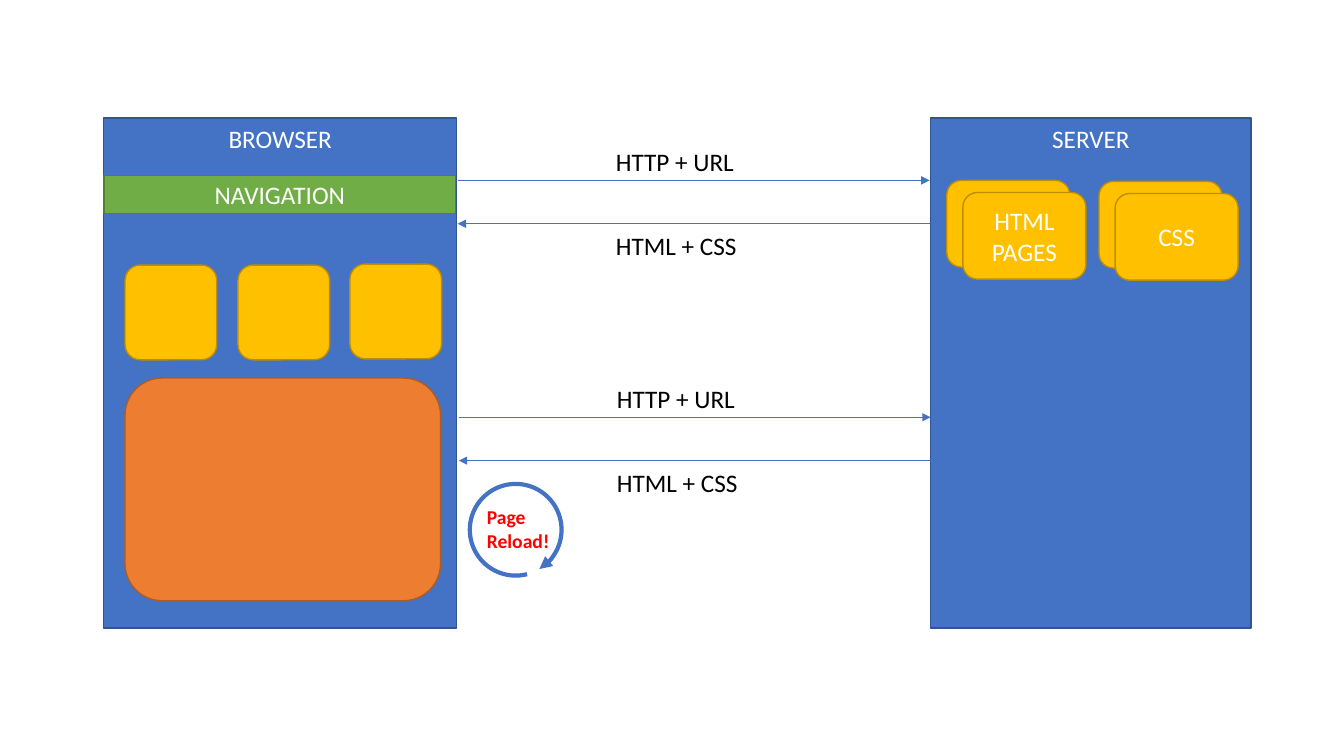
from lxml import etree
from pptx import Presentation, util as u
from pptx.dml.color import RGBColor
from pptx.enum import shapes as kinds, text as t
from pptx.oxml.ns import qn

BLUE, GOLD = ("4472C4", "325491"), ("FFC000", "BD8E00")
GREEN, ORANGE = ("70AD47", "538035"), ("ED7D31", "AF5C24")
RECT, ROUND = kinds.MSO_SHAPE.RECTANGLE, kinds.MSO_SHAPE.ROUNDED_RECTANGLE
PANELS = [("SERVER", 9.23, 3.18), ("BROWSER", 1.03, 3.5)]
NAVIGATION = ("NAVIGATION", 1.03, 1.74, 3.49, 0.38)
FILES = [("HTML PAGES", 9.39, 1.79), ("CSS", 10.9, 1.8)]
WIDGETS = [(1.24, 2.63), (2.36, 2.63), (3.47, 2.62)]
CONTENT = (1.24, 3.75, 3.13, 2.21)
EXCHANGES = [(4.54, 1.79), (4.55, 4.14)]
REQUEST, RESPONSE = "HTTP + URL", "HTML + CSS"
RELOAD = ["Page", "Reload!"]

prs = Presentation()
prs.slide_width, prs.slide_height = u.Inches(13.33), u.Inches(7.5)
slide = prs.slides.add_slide(prs.slide_layouts[6])


def color(value):
    return RGBColor.from_string(value)


def inches(*lengths):
    return [u.Inches(length) for length in lengths]


def write(holder, lines, size=18, ink="FFFFFF", bold=False,
          align=t.PP_ALIGN.CENTER, anchor=t.MSO_ANCHOR.MIDDLE, wrap=True):
    frame = holder.text_frame
    frame.word_wrap, frame.vertical_anchor = wrap, anchor
    for index, line in enumerate(lines):
        paragraph = frame.add_paragraph() if index else frame.paragraphs[0]
        paragraph.alignment = align
        run = paragraph.add_run()
        run.text = line
        run.font.name, run.font.size, run.font.bold = "Calibri", u.Pt(size), bold
        run.font.color.rgb = color(ink)


def box(parent, kind, place, colors):
    shape = parent.add_shape(kind, *inches(*place))
    shape.shadow.inherit = False
    shape.fill.solid()
    shape.fill.fore_color.rgb = color(colors[0])
    shape.line.color.rgb = color(colors[1])
    shape.line.width = u.Pt(1)
    return shape


def label(parent, place, lines, **style):
    holder = parent.add_textbox(*inches(*place))
    write(holder, lines, align=t.PP_ALIGN.LEFT, anchor=t.MSO_ANCHOR.TOP,
          wrap=False, **style)
    holder.text_frame.auto_size = t.MSO_AUTO_SIZE.SHAPE_TO_FIT_TEXT


def point(stroke, width):
    stroke.line.color.rgb = color(BLUE[0])
    stroke.line.width = u.Pt(width)
    etree.SubElement(stroke.line._get_or_add_ln(), qn("a:tailEnd"), type="triangle")


def arrow(start, end, y):
    link = slide.shapes.add_connector(kinds.MSO_CONNECTOR.STRAIGHT,
                                      *inches(start, y, end, y))
    point(link, 0.5)
    etree.SubElement(link._element.spPr, qn("a:effectLst"))


for name, left, width in PANELS:
    panel = box(slide.shapes, RECT, (left, 1.17, width, 5.06), BLUE)
    write(panel, [name], anchor=t.MSO_ANCHOR.TOP)

name, *place = NAVIGATION
write(box(slide.shapes, RECT, place, GREEN), [name])

for name, left, top in FILES:
    stack = slide.shapes.add_group_shape().shapes
    box(stack, ROUND, (left, top, 1.22, 0.86), GOLD)
    front = box(stack, ROUND, (left + 0.16, top + 0.12, 1.22, 0.86), GOLD)
    write(front, [name])

for left, top in WIDGETS:
    box(slide.shapes, ROUND, (left, top, 0.91, 0.94), GOLD)
box(slide.shapes, ROUND, CONTENT, ORANGE)

for left, y in EXCHANGES:
    right = left + 4.68
    arrow(left, right, y)
    arrow(right, left, y + 0.43)
    label(slide.shapes, (left + 1.47, y - 0.39, 1.39, 0.4), [REQUEST], ink="000000")
    label(slide.shapes, (left + 1.47, y + 0.45, 1.47, 0.4), [RESPONSE], ink="000000")

reload_group = slide.shapes.add_group_shape().shapes
loop = reload_group.add_shape(kinds.MSO_SHAPE.ARC, *inches(4.66, 4.8, 0.91, 0.91))
loop.shadow.inherit = False
loop.fill.background()
loop.rotation = 273.6
for index, degrees in enumerate((162, 145.33)):
    loop.adjustments[index] = degrees * 0.6
point(loop, 3)
label(reload_group, (4.73, 4.96, 0.83, 0.57), RELOAD, size=14, ink="FF0000", bold=True)

prs.save("out.pptx")
